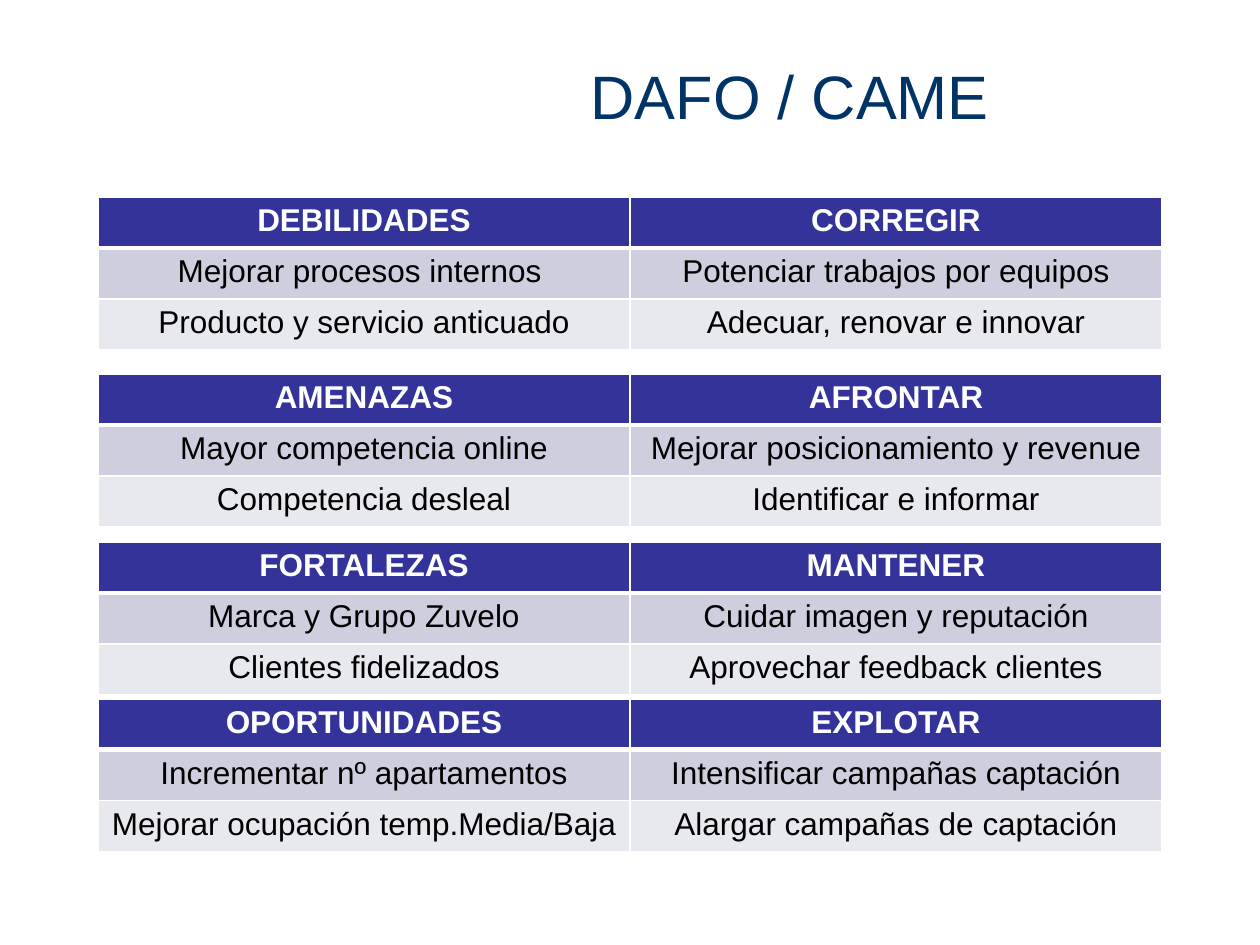
"""Build the DAFO / CAME slide: a title above four two-column tables."""
from lxml import etree
from pptx import Presentation
from pptx import util as u
from pptx.dml.color import RGBColor
from pptx.enum import text
from pptx.oxml import ns

SCALE = 914400 / 126
FONT = "Arial"
NAVY, INDIGO, WHITE, BLACK = "003366", "333399", "FFFFFF", "000000"
ROW_FILLS = (INDIGO, "CECEDE", "E8E8EF")
TABLE_LEFT, COLUMN_WIDTH, ROW_HEIGHT = 98, 532, 51

TABLES = (
    (197, ROW_HEIGHT, (
        ("DEBILIDADES", "CORREGIR"),
        ("Mejorar procesos internos ", "Potenciar trabajos por equipos"),
        ("Producto y servicio anticuado", "Adecuar, renovar e innovar"))),
    (542, ROW_HEIGHT, (
        ("FORTALEZAS", "MANTENER"),
        ("Marca y Grupo Zuvelo", "Cuidar imagen y reputación"),
        ("Clientes fidelizados", "Aprovechar feedback clientes"))),
    (374, ROW_HEIGHT, (
        ("AMENAZAS", "AFRONTAR"),
        ("Mayor competencia online", "Mejorar posicionamiento y revenue"),
        ("Competencia desleal", "Identificar e informar"))),
    (699, 48, (
        ("OPORTUNIDADES", "EXPLOTAR"),
        ("Incrementar nº apartamentos", "Intensificar campañas captación"),
        ("Mejorar ocupación temp.Media/Baja", "Alargar campañas de captación"))),
)


def px(value):
    return u.Emu(round(value * SCALE))


def color(value):
    return RGBColor.from_string(value)


def write(frame, content, size=18, fill=BLACK, bold=False):
    paragraph = frame.paragraphs[0]
    paragraph.alignment = text.PP_ALIGN.CENTER
    run = paragraph.add_run()
    run.text = content
    run.font.name = FONT
    run.font.size = u.Pt(size)
    run.font.bold = bold
    run.font.color.rgb = color(fill)


def add_title(slide, content):
    box = slide.shapes.add_textbox(px(382), px(35), px(816), px(120))
    frame = box.text_frame
    frame.word_wrap = True
    frame.vertical_anchor = text.MSO_ANCHOR.MIDDLE
    write(frame, content, size=35, fill=NAVY)


def add_borders(cell, **widths):
    properties = cell._tc.get_or_add_tcPr()
    for side, width in widths.items():
        line = etree.SubElement(properties, ns.qn(f"a:ln{side}"), w=str(u.Pt(width)))
        fill = etree.SubElement(line, ns.qn("a:solidFill"))
        etree.SubElement(fill, ns.qn("a:srgbClr"), val=WHITE)


def add_table(slide, top, header_height, rows):
    heights = (header_height, ROW_HEIGHT, ROW_HEIGHT)
    frame = slide.shapes.add_table(len(rows), 2, px(TABLE_LEFT), px(top),
                                   px(2 * COLUMN_WIDTH), px(sum(heights)))
    table = frame.table
    for column in table.columns:
        column.width = px(COLUMN_WIDTH)
    for index, (row, values) in enumerate(zip(table.rows, rows)):
        row.height = px(heights[index])
        header = index == 0
        for cell, value in zip(row.cells, values):
            add_borders(cell, L=1, R=1, T=3 if index == 1 else 1, B=3 if header else 1)
            cell.fill.solid()
            cell.fill.fore_color.rgb = color(ROW_FILLS[index])
            write(cell.text_frame, value, fill=WHITE if header else BLACK, bold=header)


def main():
    presentation = Presentation()
    presentation.slide_width, presentation.slide_height = px(1260), px(945)
    slide = presentation.slides.add_slide(presentation.slide_layouts[6])
    add_title(slide, "DAFO / CAME")
    for top, header_height, rows in TABLES:
        add_table(slide, top, header_height, rows)
    presentation.save("out.pptx")


if __name__ == "__main__":
    main()
